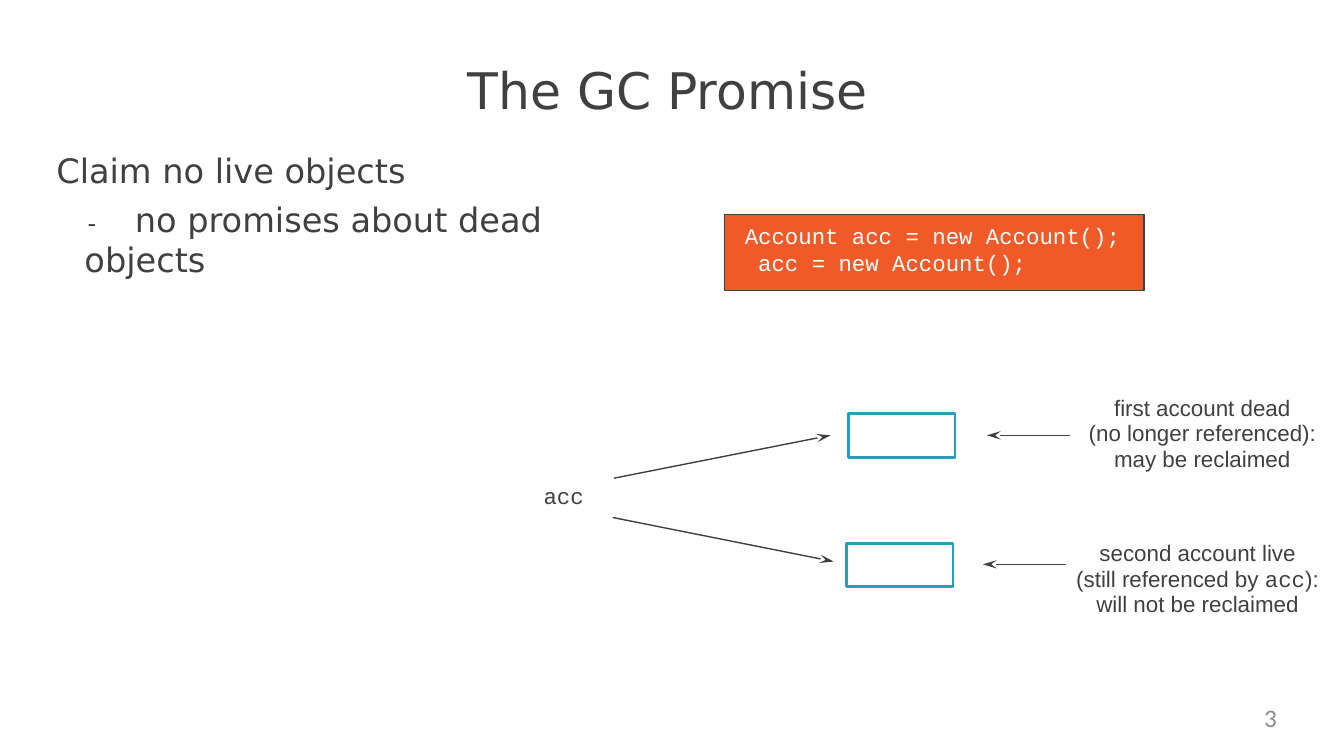
import pptx
import pptx.dml.color
import pptx.enum.shapes
import pptx.enum.text
import pptx.oxml
import pptx.oxml.ns
import pptx.util
from lxml import etree

Cm = pptx.util.Cm
Pt = pptx.util.Pt
MSO_SHAPE = pptx.enum.shapes.MSO_SHAPE
PP_ALIGN = pptx.enum.text.PP_ALIGN
qn = pptx.oxml.ns.qn

INK = "404040"
SANS = "DejaVu Sans"
CODE = "Courier New"
NOTE = "Arial"


def color(hex_value):
    return pptx.dml.color.RGBColor.from_string(hex_value)


def fill_text(shape, lines, size, ink=INK, align=PP_ALIGN.LEFT, spacing=None, left=0, top=0):
    frame = shape.text_frame
    frame.word_wrap = True
    frame.vertical_anchor = pptx.enum.text.MSO_ANCHOR.TOP
    frame.margin_left, frame.margin_top = Cm(left), Cm(top)
    frame.margin_right = frame.margin_bottom = 0
    for number, pieces in enumerate(lines):
        paragraph = frame.add_paragraph() if number else frame.paragraphs[0]
        paragraph.alignment = align
        if spacing:
            paragraph.line_spacing = Pt(spacing)
        for text, font in pieces:
            run = paragraph.add_run()
            run.text = text
            run.font.name = font
            run.font.size = Pt(size)
            run.font.color.rgb = color(ink)
    return frame


deck = pptx.Presentation()
deck.slide_width, deck.slide_height = Cm(33.87), Cm(19.05)
slide = deck.slides.add_slide(deck.slide_layouts[6])
shapes = slide.shapes

title = shapes.add_textbox(Cm(11.78), Cm(1.45), Cm(10.4), Cm(1.6))
fill_text(title, [[("The GC Promise", SANS)]], 36, top=0.03)

claim = shapes.add_textbox(Cm(1.42), Cm(3.53), Cm(15.09), Cm(3.6))
claim_lines = [
    [("Claim no live objects", SANS)],
    [("-\t", "DejaVu Sans Mono"), ("no promises about dead objects", SANS)],
]
claim_frame = fill_text(claim, claim_lines, 24, top=0.25)
promise = claim_frame.paragraphs[1]
promise.space_before = Pt(6)
promise.runs[0].font.size = Pt(18)
promise_layout = promise._p.get_or_add_pPr()
promise_layout.set("marL", str(Cm(0.71)))
promise_layout.set("indent", "0")
tabs = etree.SubElement(promise_layout, qn("a:tabLst"))
etree.SubElement(tabs, qn("a:tab"), pos=str(Cm(1.5)), algn="l")

code = shapes.add_shape(MSO_SHAPE.RECTANGLE, Cm(18.26), Cm(5.41), Cm(10.57), Cm(1.91))
code.shadow.inherit = False
code.fill.solid()
code.fill.fore_color.rgb = color("F05A28")
code.line.color.rgb = color(INK)
code.line.width = Pt(1)
code_lines = [[("Account acc = new Account();", CODE)], [(" acc = new Account();", CODE)]]
fill_text(code, code_lines, 16, ink="FFFFFF", spacing=19, left=0.51, top=0.2)

variable = shapes.add_textbox(Cm(13.7), Cm(12.12), Cm(1.3), Cm(0.74))
fill_text(variable, [[("acc", CODE)]], 16, top=0.03)

for left, top in [(21.39, 10.43), (21.34, 13.69)]:
    account = shapes.add_shape(MSO_SHAPE.RECTANGLE, Cm(left), Cm(top), Cm(2.68), Cm(1.1))
    account.shadow.inherit = False
    account.fill.background()
    account.line.color.rgb = color("2A9FBC")
    account.line.width = Pt(2)

references = [
    (15.47, 12.05, 20.93, 10.97),
    (15.44, 13.04, 21.01, 14.15),
    (26.97, 10.97, 24.87, 10.97),
    (26.87, 14.22, 24.77, 14.22),
]
for ends in references:
    arrow = shapes.add_connector(
        pptx.enum.shapes.MSO_CONNECTOR.STRAIGHT, *[Cm(end) for end in ends])
    arrow.line.color.rgb = color(INK)
    arrow.line.width = Pt(1)
    outline = arrow.line._get_or_add_ln()
    etree.SubElement(outline, qn("a:tailEnd"), type="stealth", w="med", len="lg")
    etree.SubElement(arrow._element.spPr, qn("a:effectLst"))

dead_lines = [
    [("first account dead", NOTE)],
    [("(no longer referenced):", NOTE)],
    [("may be reclaimed", NOTE)],
]
live_lines = [
    [("second account live", NOTE)],
    [("(still referenced by ", NOTE), ("acc", CODE), ("):", NOTE)],
    [("will not be reclaimed", NOTE)],
]
for left, top, lines in [(27.1, 9.98), (26.98, 13.64)] and [
        (27.1, 9.98, dead_lines), (26.98, 13.64, live_lines)]:
    note = shapes.add_textbox(Cm(left), Cm(top), Cm(6.4), Cm(2))
    fill_text(note, lines, 16, align=PP_ALIGN.CENTER, spacing=18)

page_number = shapes.add_textbox(Cm(24.38), Cm(17.7), Cm(7.8), Cm(0.97))
fill_text(page_number, [[("3", "Calibri")]], 18, ink="8C8C8C", align=PP_ALIGN.RIGHT)

deck.save("out.pptx")
